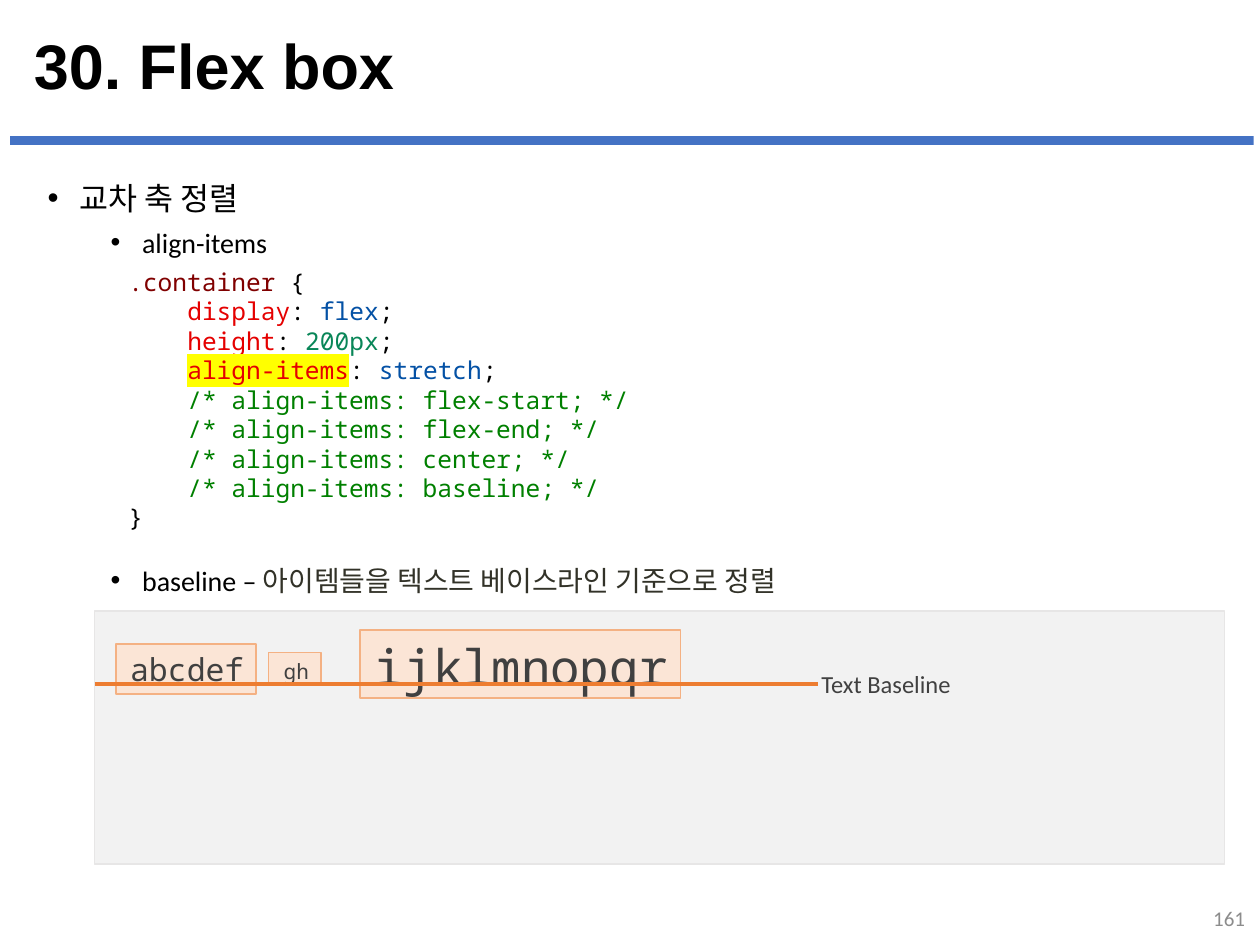
from lxml import etree
from pptx import Presentation
from pptx.dml.color import RGBColor
from pptx.enum.shapes import MSO_CONNECTOR, MSO_SHAPE
from pptx.enum.text import MSO_ANCHOR, PP_ALIGN
from pptx.oxml.ns import qn
from pptx.util import Pt

RECT, STRAIGHT = MSO_SHAPE.RECTANGLE, MSO_CONNECTOR.STRAIGHT
TOP, MIDDLE = MSO_ANCHOR.TOP, MSO_ANCHOR.MIDDLE
LEFT, RIGHT = PP_ALIGN.LEFT, PP_ALIGN.RIGHT

SANS, MONO, KOREAN = "Calibri", "Noto Sans Mono", "Noto Sans CJK KR"

BLACK = RGBColor(0x00, 0x00, 0x00)
DARK = RGBColor(0x40, 0x40, 0x40)
OLIVE = RGBColor(0x32, 0x32, 0x28)
GRAY = RGBColor(0x8C, 0x8C, 0x8C)
BLUE = RGBColor(0x44, 0x72, 0xC4)
ORANGE = RGBColor(0xED, 0x7D, 0x31)
PANEL_FILL = RGBColor(0xF2, 0xF2, 0xF2)
PANEL_LINE = RGBColor(0xE7, 0xE6, 0xE6)
ITEM_FILL = RGBColor(0xFB, 0xE5, 0xD6)
ITEM_LINE = RGBColor(0xF4, 0xB1, 0x83)

# Syntax colours
SELECTOR = RGBColor(0x80, 0x00, 0x00)
PROPERTY = RGBColor(0xE5, 0x00, 0x00)
KEYWORD = RGBColor(0x04, 0x51, 0xA5)
NUMBER = RGBColor(0x09, 0x86, 0x58)
COMMENT = RGBColor(0x00, 0x80, 0x00)
MARKED = "align-items"
INDENT = "    "

DECLARATIONS = [
    ("display", "flex", KEYWORD),
    ("height", "200px", NUMBER),
    (MARKED, "stretch", KEYWORD),
]
ALTERNATIVES = ["flex-start", "flex-end", "center", "baseline"]

# Flex items, each wide enough for one line: left, top, width, height, text, size
ITEMS = [
    (66.24, 367.92, 80, 28.8, "abcdef", 18),
    (153.36, 372.96, 30.24, 18.72, "gh", 12),
    (205.92, 360, 183, 38.88, "ijklmnopqr", 28),
]


def add_run(p, text, size, color, font=SANS, bold=False):
    r = p.add_run()
    r.text = text
    r.font.size = Pt(size)
    r.font.name = font
    r.font.bold = bold
    r.font.color.rgb = color
    return r


def set_east_asian(r):
    latin = r.font._element.find(qn("a:latin"))
    ea = etree.Element(qn("a:ea"), typeface=KOREAN)
    latin.addnext(ea)


def highlight(r, color):
    mark = etree.Element(qn("a:highlight"))
    etree.SubElement(mark, qn("a:srgbClr"), val=color)
    r.font._element.find(qn("a:solidFill")).addnext(mark)


def add_text_box(slide, left, top, width, height, anchor=TOP, wrap=True):
    sp = slide.shapes.add_textbox(Pt(left), Pt(top), Pt(width), Pt(height))
    tf = sp.text_frame
    tf.word_wrap = wrap
    tf.vertical_anchor = anchor
    return tf


def add_label(slide, box, text, size, color, align=LEFT, **style):
    tf = add_text_box(slide, *box)
    p = tf.paragraphs[0]
    p.alignment = align
    add_run(p, text, size, color, **style)
    return p


def add_rect(slide, left, top, width, height, fill, line=None):
    sp = slide.shapes.add_shape(RECT, Pt(left), Pt(top), Pt(width), Pt(height))
    sp.shadow.inherit = False
    sp.fill.solid()
    sp.fill.fore_color.rgb = fill
    if line is None:
        sp.line.fill.background()
    else:
        sp.line.color.rgb = line
        sp.line.width = Pt(1)
    return sp


def add_item(slide, left, top, width, height, text, size):
    sp = add_rect(slide, left, top, width, height, ITEM_FILL, ITEM_LINE)
    tf = sp.text_frame
    tf.word_wrap = False
    tf.vertical_anchor = TOP
    p = tf.paragraphs[0]
    p.alignment = RIGHT
    add_run(p, text, size, DARK, MONO)


def add_line(slide, x1, y1, x2, y2, color, width):
    line = slide.shapes.add_connector(STRAIGHT, Pt(x1), Pt(y1), Pt(x2), Pt(y2))
    line.line.color.rgb = color
    line.line.width = Pt(width)
    etree.SubElement(line._element.spPr, qn("a:effectLst"))


def make_bullet(p, margin, space_before=0):
    pPr = p._p.get_or_add_pPr()
    pPr.set("marL", str(Pt(margin)))
    pPr.set("indent", str(Pt(-18)))
    etree.SubElement(pPr, qn("a:buFont"), typeface="Arial")
    etree.SubElement(pPr, qn("a:buChar"), char="•")
    if space_before:
        p.space_before = Pt(space_before)


def add_bullets(slide):
    tf = add_text_box(slide, 20.16, 98.64, 676.8, 431.28)
    p = tf.paragraphs[0]
    make_bullet(p, 18)
    set_east_asian(add_run(p, "교차 축 정렬", 18, BLACK))

    p = tf.add_paragraph()
    make_bullet(p, 54, 5)
    add_run(p, "align-items", 16, BLACK)

    # The space before leaves room for the code
    p = tf.add_paragraph()
    make_bullet(p, 54, 174)
    add_run(p, "baseline – ", 16, BLACK)
    set_east_asian(add_run(p, "아이템들을 텍스트 베이스라인 기준으로 정렬", 16, OLIVE, KOREAN))


def add_code(slide):
    lines = [[(".container", SELECTOR), (" {", BLACK)]]
    for name, value, color in DECLARATIONS:
        lines.append([(INDENT, BLACK), (name, PROPERTY), (": ", BLACK),
                      (value, color), (";", BLACK)])
    for value in ALTERNATIVES:
        lines.append([(INDENT, BLACK), (f"/* align-items: {value}; */", COMMENT)])
    lines.append([("}", BLACK)])

    tf = add_text_box(slide, 66.24, 149.04, 361.44, 159.84)
    for i, line in enumerate(lines):
        p = tf.add_paragraph() if i else tf.paragraphs[0]
        for text, color in line:
            r = add_run(p, text, 14, color, MONO)
            if text == MARKED:
                highlight(r, "FFFF00")


def main():
    prs = Presentation()
    prs.slide_width, prs.slide_height = Pt(720), Pt(540)
    slide = prs.slides.add_slide(prs.slide_layouts[6])

    # Heading and page number
    add_rect(slide, 5.76, 77.76, 710.64, 5.04, BLUE)
    p = add_label(slide, (12.24, 15.84, 695.52, 47.52, MIDDLE), "30. Flex box",
                  36, BLACK, font="Arial", bold=True)
    p.line_spacing = 0.9
    add_label(slide, (556.56, 510.48, 162, 28.8, MIDDLE), "161", 12, GRAY, RIGHT)

    # Bullets and code
    add_bullets(slide)
    add_code(slide)

    # Baseline alignment demo
    add_rect(slide, 54, 349.2, 645.84, 144.72, PANEL_FILL, PANEL_LINE)
    for item in ITEMS:
        add_item(slide, *item)
    add_line(slide, 54, 390.96, 467.28, 390.96, ORANGE, 2.25)
    add_label(slide, (462.24, 378.72, 89.28, 24.48, TOP, False), "Text Baseline", 14, DARK)

    prs.save("out.pptx")


if __name__ == "__main__":
    main()
